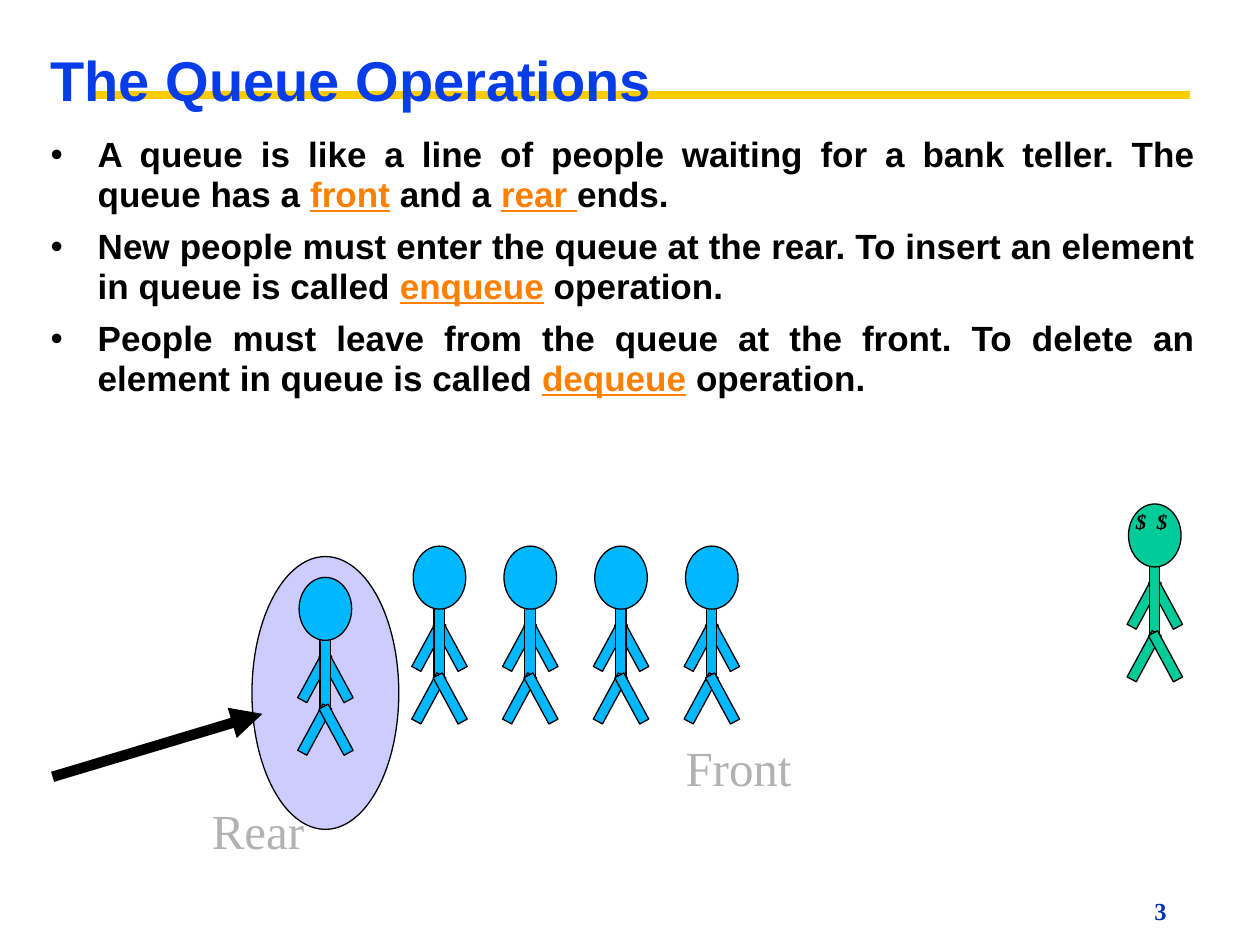
from lxml import etree
from pptx import Presentation
from pptx import util as u
from pptx.dml.color import RGBColor
from pptx.enum import shapes, text
from pptx.oxml import ns

BLACK, ORANGE, GREY = "000000", "FF8000", "B2B2B2"
BLUE, GREEN, LILAC, YELLOW = "00B8FF", "00CC99", "CCCCFF", "FFCC00"
SERIF = {"name": "Times New Roman"}
BULLETS = [
    [("A queue is like a line of people waiting for a bank teller. The queue has a ", False),
     ("front", True), (" and a ", False), ("rear ", True), ("ends.", False)],
    [("New people must enter the queue at the rear. To insert an element in queue is called ", False),
     ("enqueue", True), (" operation.", False)],
    [("People must leave from the queue at the front. To delete an element in queue is called ", False),
     ("dequeue", True), (" operation.", False)],
]


def colour(hex_string):
    """Turn a hex string into a colour."""
    return RGBColor.from_string(hex_string)


def lengths(box):
    """Turn centimetres into lengths."""
    return [u.Cm(value) for value in box]


def set_values(target, values):
    """Set every attribute named in a dict."""
    for name, value in values.items():
        setattr(target, name, value)


def add_run(paragraph, words, size, hex_string, **font_values):
    """Add a formatted run to a paragraph."""
    run = paragraph.add_run()
    run.text = words
    set_values(run.font, {"size": u.Pt(size), **font_values})
    run.font.color.rgb = colour(hex_string)


def set_frame(shape, inset=(0.25, 0.13), wrap=True):
    """Give a text frame its margins, wrapping and top anchor."""
    across, down = lengths(inset)
    set_values(shape.text_frame, {
        "margin_left": across, "margin_right": across,
        "margin_top": down, "margin_bottom": down, "word_wrap": wrap,
        "auto_size": text.MSO_AUTO_SIZE.NONE,
        "vertical_anchor": text.MSO_ANCHOR.TOP})


def place_placeholder(slide, shape, box):
    """Move a placeholder into its box and in front of earlier parts."""
    set_values(shape, dict(zip(("left", "top", "width", "height"), lengths(box))))
    set_frame(shape, (0.18, 0.08))
    slide.shapes._spTree.append(shape._element)


def add_part(parent, kind, box, fill, rotation=0):
    """Add a filled shape with a thin black outline."""
    shape = parent.shapes.add_shape(kind, *lengths(box))
    shape.shadow.inherit = False
    shape.rotation = rotation
    shape.fill.solid()
    shape.fill.fore_color.rgb = colour(fill)
    shape.line.color.rgb = colour(BLACK)
    shape.line.width = u.Pt(0.75)
    return shape


def add_line(slide, ends, hex_string, width):
    """Add a straight line without a shadow."""
    line = slide.shapes.add_connector(shapes.MSO_CONNECTOR.STRAIGHT, *lengths(ends))
    line.line.color.rgb = colour(hex_string)
    line.line.width = u.Pt(width)
    etree.SubElement(line._element.spPr, ns.qn("a:effectLst"))
    return line


def add_arrow(slide, ends):
    """Add a thick line with a triangular head at its end."""
    arrow = add_line(slide, ends, BLACK, 6)
    etree.SubElement(arrow.line._get_or_add_ln(), ns.qn("a:tailEnd"), type="triangle")


def add_title(slide, box):
    """Fill the title placeholder."""
    title = slide.shapes.title
    place_placeholder(slide, title, box)
    paragraph = title.text_frame.paragraphs[0]
    set_values(paragraph, {"alignment": text.PP_ALIGN.LEFT, "line_spacing": 0.95})
    add_run(paragraph, "The Queue Operations", 32, "063DE8", name="Arial", bold=True)


def add_bullets(slide, box):
    """Fill the body placeholder with the justified list."""
    body = slide.placeholders[1]
    place_placeholder(slide, body, box)
    frame = body.text_frame
    for index, pieces in enumerate(BULLETS):
        paragraph = frame.add_paragraph() if index else frame.paragraphs[0]
        set_values(paragraph, {"alignment": text.PP_ALIGN.JUSTIFY,
                               "line_spacing": 0.95, "space_before": u.Pt(7)})
        properties = paragraph._p.get_or_add_pPr()
        properties.set("marL", str(u.Cm(0.95)))
        properties.set("indent", str(-u.Cm(0.95)))
        bullet_colour = etree.SubElement(properties, ns.qn("a:buClr"))
        etree.SubElement(bullet_colour, ns.qn("a:srgbClr"), val=BLACK)
        etree.SubElement(properties, ns.qn("a:buChar"), char="•")
        for words, is_term in pieces:
            add_run(paragraph, words, 20, ORANGE if is_term else BLACK,
                    name="Arial", bold=True, underline=is_term)


def add_person(slide, left, top, fill):
    """Add a grouped stick person whose head starts at the given corner."""
    person = slide.shapes.add_group_shape()
    rectangle, oval = shapes.MSO_SHAPE.RECTANGLE, shapes.MSO_SHAPE.OVAL

    def add_limbs(limb_top):
        for offset, rotation in ((0.21, 28.4), (0.64, -28.4)):
            add_part(person, rectangle, (left + offset, limb_top, 0.21, 1.06), fill, rotation)

    add_limbs(top + 1.48)
    add_part(person, rectangle, (left + 0.42, top + 1.06, 0.21, 1.69), fill)
    add_part(person, oval, (left, top, 1.06, 1.27), fill)
    add_limbs(top + 2.54)
    return person


def add_teller(slide, left, top):
    """Add the green teller with dollar eyes."""
    teller = add_person(slide, left, top, GREEN)
    eyes = teller.shapes.add_textbox(*lengths((left - 0.1, top, 1.27, 1.27)))
    set_frame(eyes)
    paragraph = eyes.text_frame.paragraphs[0]
    set_values(paragraph, {"line_spacing": 0.95, "space_before": u.Pt(7)})
    add_run(paragraph, "$  $", 12, BLACK, bold=True, italic=True, **SERIF)


def add_label(slide, words, box):
    """Add a grey label in an unfilled, barely rounded box."""
    label = slide.shapes.add_shape(shapes.MSO_SHAPE.ROUNDED_RECTANGLE, *lengths(box))
    label.adjustments[0] = 0
    label.shadow.inherit = False
    label.fill.background()
    label.line.fill.background()
    set_frame(label, wrap=False)
    paragraph = label.text_frame.paragraphs[0]
    set_values(paragraph, {"alignment": text.PP_ALIGN.LEFT, "line_spacing": 0.95})
    add_run(paragraph, words, 28, GREY, **SERIF)


def add_page_number(slide, box):
    """Add the page number."""
    number = slide.shapes.add_textbox(*lengths(box))
    set_frame(number, (0.18, 0.08))
    add_run(number.text_frame.paragraphs[0], "3", 14, "0332B7", bold=True, **SERIF)


def add_queue(slide, left, top):
    """Add the waiting people, the teller, the newcomer and the labels."""
    for place in range(4):
        add_person(slide, left + place * 1.83, top, BLUE)
    add_teller(slide, left + 14.42, top - 0.85)
    add_person(slide, left - 2.3, top + 0.63, BLUE)
    add_arrow(slide, (left - 7.27, top + 4.65, left - 3.04, top + 3.38))
    add_label(slide, "Front", (left + 5.24, top + 3.81, 2.63, 1.37))
    add_label(slide, "Rear", (left - 4.31, top + 5.08, 2.37, 1.37))


def main():
    """Build and save the slide."""
    presentation = Presentation()
    presentation.slide_width, presentation.slide_height = lengths((25.4, 19.05))
    slide = presentation.slides.add_slide(presentation.slide_layouts[1])
    add_page_number(slide, (23.09, 17.98, 2.31, 0.74))
    add_line(slide, (1.91, 1.91, 23.98, 1.91), YELLOW, 4.5)
    add_part(slide, shapes.MSO_SHAPE.OVAL, (5.08, 11.22, 2.96, 5.5), LILAC)
    add_title(slide, (0.84, 0.93, 21.59, 3.18))
    add_bullets(slide, (0.84, 2.65, 23.44, 7.08))
    add_queue(slide, 8.33, 11.01)
    presentation.save("out.pptx")


if __name__ == "__main__":
    main()
